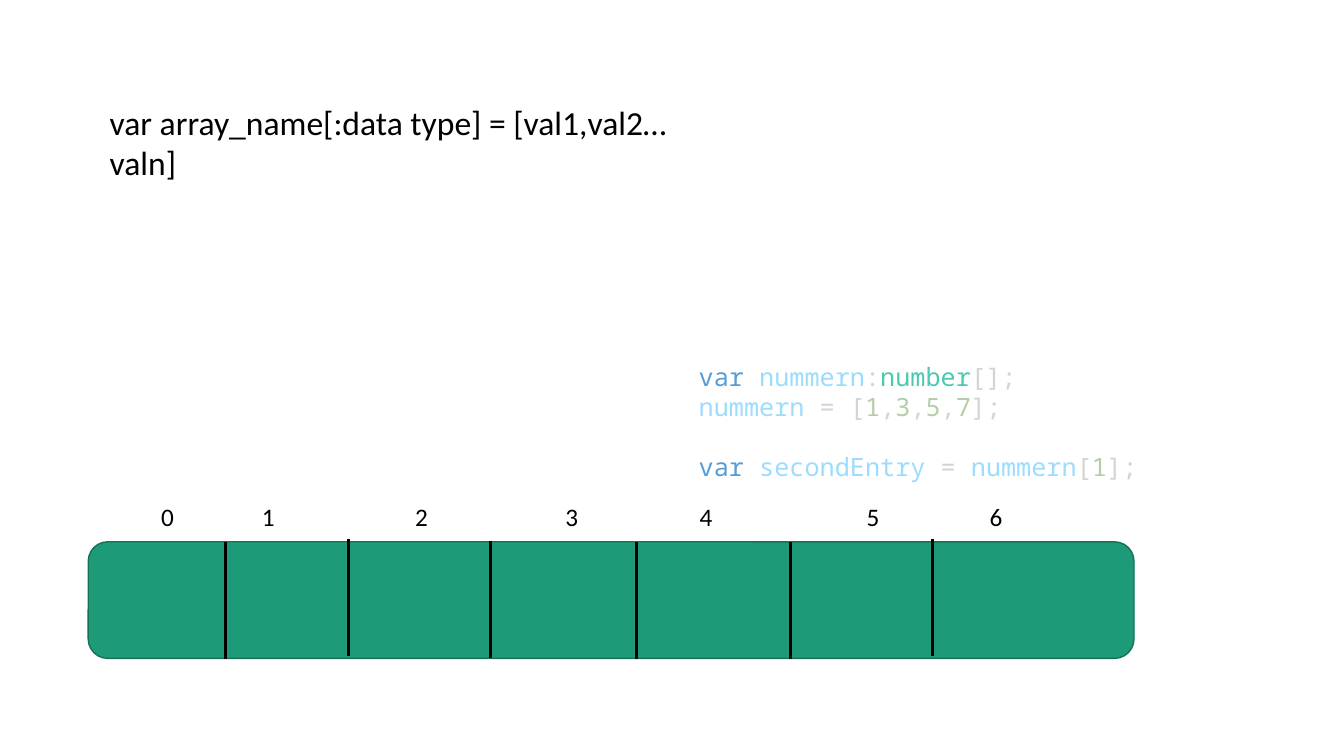
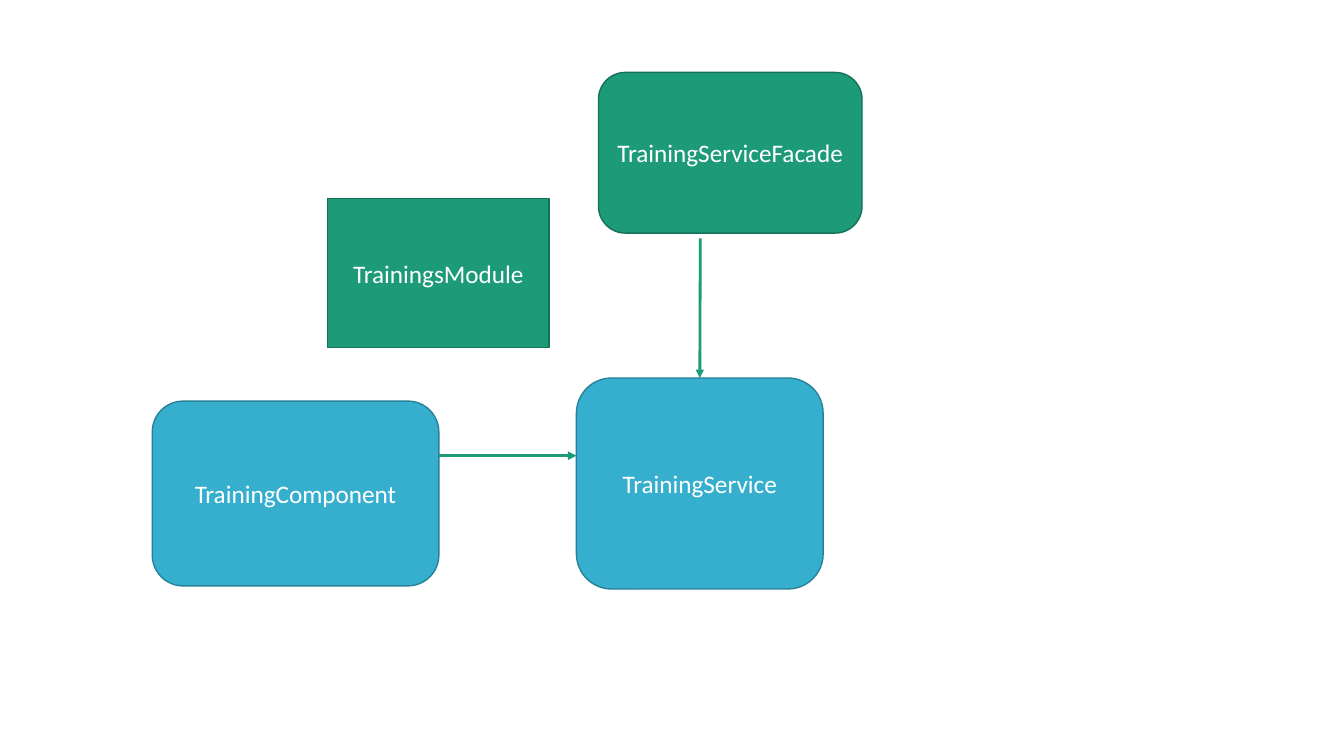
from lxml import etree
from pptx import Presentation
from pptx.dml.color import RGBColor
from pptx.enum import shapes, text
from pptx.oxml.ns import qn
from pptx.util import Emu, Pt

# Content: lengths in px, 96 to the inch
PX = 9525
COLORS = {
    "black": "000000", "white": "FFFFFF",
    "green": "1D9A78", "green_edge": "157158",
    "blue": "36AFCE", "blue_edge": "278198",
    "keyword": "569CD6", "name": "9CDCFE", "type": "4EC9B0",
    "plain": "D4D4D4", "number": "B5CEA8",
}
BODY, MONO = "Calibri", "Noto Sans Mono"
CODE_LINE = Pt(21.4)

SYNTAX = "var array_name[:data type] = [val1,val2…valn]"
BAR = (84, 516, 996, 111)
DIVIDER_HEIGHT = 112
DIVIDERS = [(215, 516), (332, 513), (467, 515), (606, 516), (753, 516), (888, 513)]
INDEX_TABS = [96, 242, 385, 513, 672, 789]

# (line starts a new block, runs)
CODE = [
    (False, [("var ", "keyword"), ("nummern", "name"), (":", "plain"),
             ("number", "type"), ("[];", "plain")]),
    (False, [("nummern", "name"), (" = [", "plain"), ("1", "number"), (",", "plain"),
             ("3", "number"), (",", "plain"), ("5", "number"), (",", "plain"),
             ("7", "number"), ("];", "plain")]),
    (True, [("var ", "keyword"), ("secondEntry", "name"), (" = ", "plain"),
            ("nummern", "name"), ("[", "plain"), ("1", "number"), ("];", "plain")]),
]

RECT = shapes.MSO_SHAPE.RECTANGLE
ROUND = shapes.MSO_SHAPE.ROUNDED_RECTANGLE
BOXES = [
    ("TrainingsModule", RECT, "green", (312, 189, 211, 142)),
    ("TrainingService", ROUND, "blue", (549, 360, 235, 201)),
    ("TrainingServiceFacade", ROUND, "green", (570, 69, 251, 153)),
    ("TrainingComponent", ROUND, "blue", (145, 382, 273, 176)),
]
FACADE_ARROW = (667, 227, 666, 360)
COMPONENT_ARROW = (418, 434, 549, 434)


# Helpers
def px(values):
    return [Emu(v * PX) for v in values]


def rgb(name):
    return RGBColor.from_string(COLORS[name])


def add_run(p, label, color, size=18, font=BODY):
    r = p.add_run()
    r.text = label
    r.font.size, r.font.name = Pt(size), font
    r.font.color.rgb = rgb(color)


def add_text(s, box, wrap=True):
    tf = s.shapes.add_textbox(*px(box)).text_frame
    tf.word_wrap = wrap
    return tf


def add_box(s, kind, color, box, label=None):
    sp = s.shapes.add_shape(kind, *px(box))
    sp.shadow.inherit = False
    sp.fill.solid()
    sp.fill.fore_color.rgb = rgb(color)
    sp.line.color.rgb = rgb(color + "_edge")
    sp.line.width = Pt(1)
    if label:
        tf = sp.text_frame
        tf.vertical_anchor = text.MSO_ANCHOR.MIDDLE
        p = tf.paragraphs[0]
        p.alignment = text.PP_ALIGN.CENTER
        add_run(p, label, "white")
    return sp


def add_line(s, ends, color, arrow=False):
    line = s.shapes.add_connector(shapes.MSO_CONNECTOR.STRAIGHT, *px(ends))
    line.line.color.rgb = rgb(color)
    line.line.width = Pt(0)
    if arrow:
        ln = line.line._get_or_add_ln()
        etree.SubElement(ln, qn("a:tailEnd"), type="triangle")
    etree.SubElement(line._element.spPr, qn("a:effectLst"))
    return line


def add_tabs(p, stops):
    tabs = etree.SubElement(p._p.get_or_add_pPr(), qn("a:tabLst"))
    for stop in stops:
        etree.SubElement(tabs, qn("a:tab"), pos=str(stop * PX), algn="l")


# Slides
def array_slide(s):
    add_box(s, ROUND, "green", BAR)
    for x, y in DIVIDERS:
        add_line(s, (x, y, x, y + DIVIDER_HEIGHT), "black")

    # Index above each cell
    p = add_text(s, (144, 473, 821, 38)).paragraphs[0]
    add_tabs(p, INDEX_TABS)
    add_run(p, "\t".join(str(i) for i in range(len(INDEX_TABS) + 1)), "black")

    # Code sample
    tf = add_text(s, (656, 340, 461, 154))
    for i, (new_block, runs) in enumerate(CODE):
        p = tf.add_paragraph() if i else tf.paragraphs[0]
        p.line_spacing = CODE_LINE
        if new_block:
            p.space_before = CODE_LINE
        for label, color in runs:
            add_run(p, label, color, font=MONO)

    p = add_text(s, (95, 92, 612, 48), wrap=False).paragraphs[0]
    add_run(p, SYNTAX, "black", size=24)


def training_slide(s):
    boxes = {label: add_box(s, kind, color, box, label)
             for label, kind, color, box in BOXES}
    arrow = add_line(s, FACADE_ARROW, "green", arrow=True)
    arrow.end_connect(boxes["TrainingService"], 0)
    add_line(s, COMPONENT_ARROW, "green", arrow=True)


def main():
    prs = Presentation()
    prs.slide_width, prs.slide_height = px((1280, 720))
    for build in (array_slide, training_slide):
        build(prs.slides.add_slide(prs.slide_layouts[6]))
    prs.save("out.pptx")


if __name__ == "__main__":
    main()
